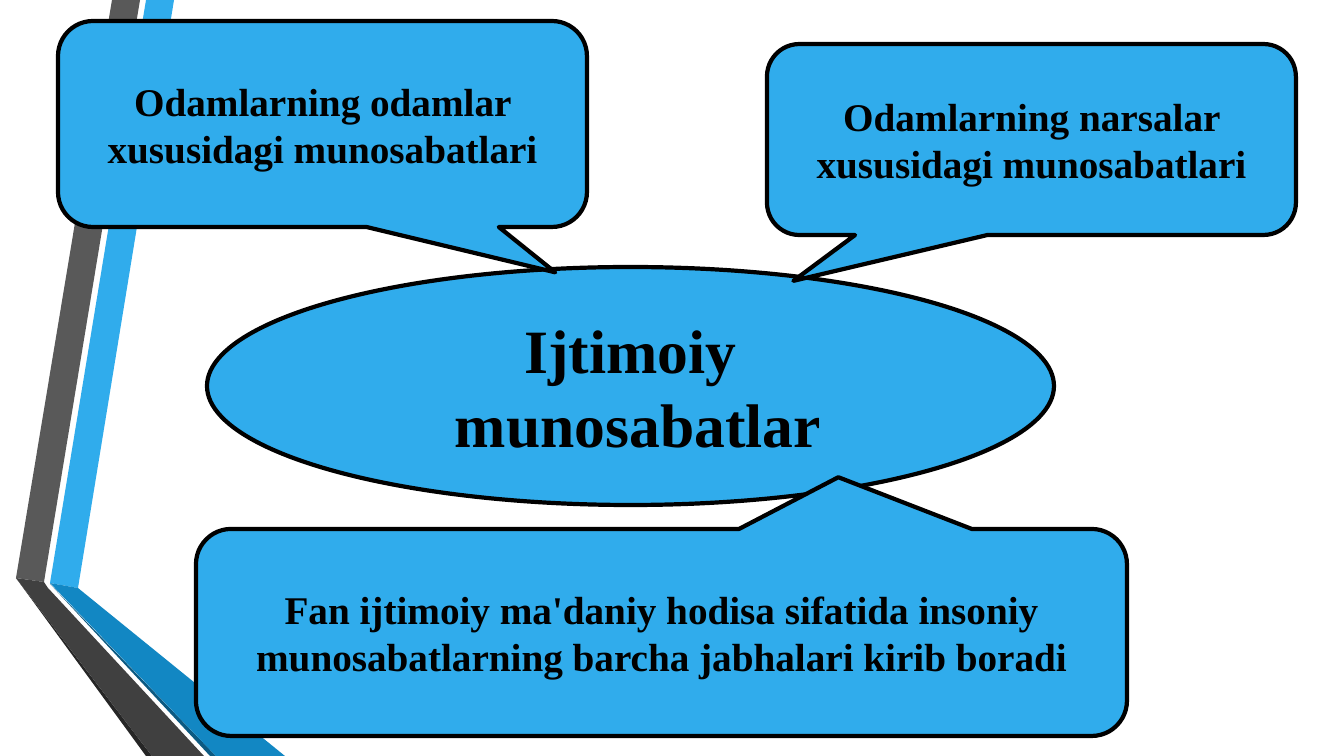
from dataclasses import dataclass

from pptx import Presentation
from pptx.dml.color import RGBColor
from pptx.enum.shapes import MSO_SHAPE
from pptx.enum.text import MSO_ANCHOR, PP_ALIGN
from pptx.shapes.autoshape import Shape
from pptx.shapes.shapetree import SlideShapes
from pptx.util import Pt

ELLIPSE = MSO_SHAPE.OVAL
CALLOUT = MSO_SHAPE.ROUNDED_RECTANGULAR_CALLOUT
CENTER = PP_ALIGN.CENTER
MIDDLE = MSO_ANCHOR.MIDDLE

SLIDE_WIDTH, SLIDE_HEIGHT = 1344, 756
EMU_PER_PX = 12192000 / SLIDE_WIDTH
BLUE = "30ACEC"
BLACK = "000000"
OUTLINE_PT = 3
CORNER = 0.17


@dataclass(frozen=True)
class Ribbon:
    color: str
    points: tuple[tuple[int, int], ...]


@dataclass(frozen=True)
class Bubble:
    """A labelled outline; tip is the callout point relative to the centre."""
    left: int
    top: int
    width: int
    height: int
    lines: tuple[str, ...]
    size: int = 28
    tip: tuple[float, float] | None = None
    wrap: bool = True


RIBBONS = (
    Ribbon(BLUE, ((50, 583), (78, 588), (174, 0), (146, 0))),
    Ribbon("595959", ((140, 0), (112, 0), (16, 578), (44, 582))),
    Ribbon("262626", ((16, 578), (146, 756), (152, 756))),
    Ribbon("0C5A82", ((50, 584), (210, 756), (216, 756))),
    Ribbon("1287C3", ((50, 583), (216, 756), (285, 756), (78, 588))),
    Ribbon("404040", ((204, 756), (48, 588), (44, 582), (16, 578), (152, 756))),
)

BUBBLES = (
    Bubble(207, 267, 847, 238, ("Ijtimоiy", " munоsаbаtlаr"), size=44, wrap=False),
    Bubble(767, 44, 529, 191,
           ("Оdаmlаrning nаrsаlаr хususidаgi munоsаbаtlаri",), tip=(-0.45, 0.74)),
    Bubble(196, 529, 931, 207,
           ("Fаn ijtimоiy mа'dаniy hоdisа sifаtidа insоniy "
            "munоsаbаtlаrning bаrchа jаbhаlаri kirib bоrаdi",), tip=(0.19, -0.75)),
    Bubble(58, 21, 529, 206,
           ("Оdаmlаrning оdаmlаr хususidаgi munоsаbаtlаri",), tip=(0.44, 0.72)),
)


def px(length: int) -> int:
    return round(length * EMU_PER_PX)


def rgb(color: str) -> RGBColor:
    return RGBColor.from_string(color)


def fill_flat(shape: Shape, color: str) -> None:
    shape.shadow.inherit = False
    shape.fill.solid()
    shape.fill.fore_color.rgb = rgb(color)


def draw_ribbon(shapes: SlideShapes, ribbon: Ribbon) -> None:
    start, *rest = ribbon.points
    builder = shapes.build_freeform(*start, scale=EMU_PER_PX)
    builder.add_line_segments(rest, close=True)
    outline = builder.convert_to_shape()
    fill_flat(outline, ribbon.color)
    outline.line.fill.background()


def write_lines(shape: Shape, bubble: Bubble) -> None:
    frame = shape.text_frame
    frame.word_wrap = bubble.wrap
    frame.vertical_anchor = MIDDLE
    frame.text = "\n".join(bubble.lines)
    font_format = {"name": "Times New Roman", "size": Pt(bubble.size), "bold": True}
    for paragraph in frame.paragraphs:
        paragraph.alignment = CENTER
        for run in paragraph.runs:
            for attribute, value in font_format.items():
                setattr(run.font, attribute, value)
            run.font.color.rgb = rgb(BLACK)


def draw_bubble(shapes: SlideShapes, bubble: Bubble) -> None:
    bounds = map(px, (bubble.left, bubble.top, bubble.width, bubble.height))
    shape = shapes.add_shape(CALLOUT if bubble.tip else ELLIPSE, *bounds)
    if bubble.tip:
        for index, value in enumerate((*bubble.tip, CORNER)):
            shape.adjustments[index] = value
    fill_flat(shape, BLUE)
    shape.line.color.rgb = rgb(BLACK)
    shape.line.width = Pt(OUTLINE_PT)
    write_lines(shape, bubble)


def main() -> None:
    presentation = Presentation()
    presentation.slide_width = px(SLIDE_WIDTH)
    presentation.slide_height = px(SLIDE_HEIGHT)
    slide = presentation.slides.add_slide(presentation.slide_layouts[6])
    for ribbon in RIBBONS:
        draw_ribbon(slide.shapes, ribbon)
    for bubble in BUBBLES:
        draw_bubble(slide.shapes, bubble)
    presentation.save("out.pptx")


if __name__ == "__main__":
    main()
